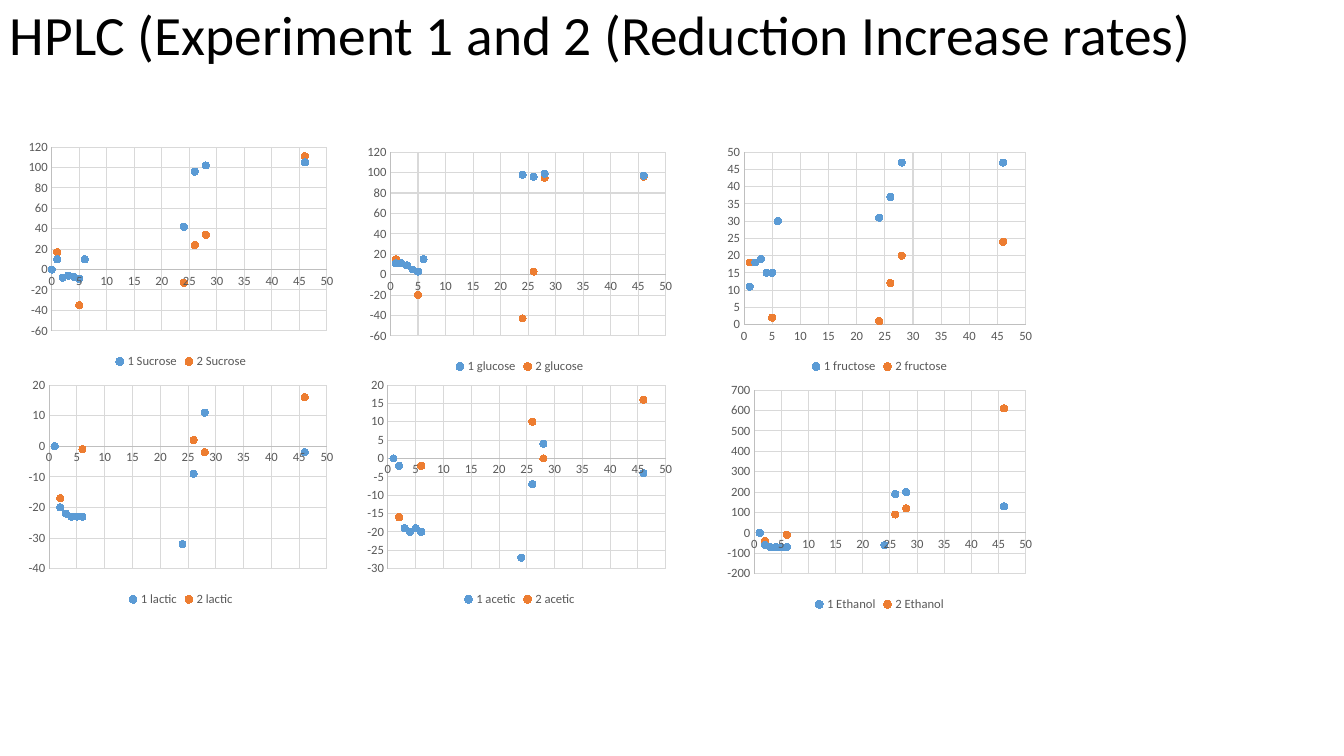
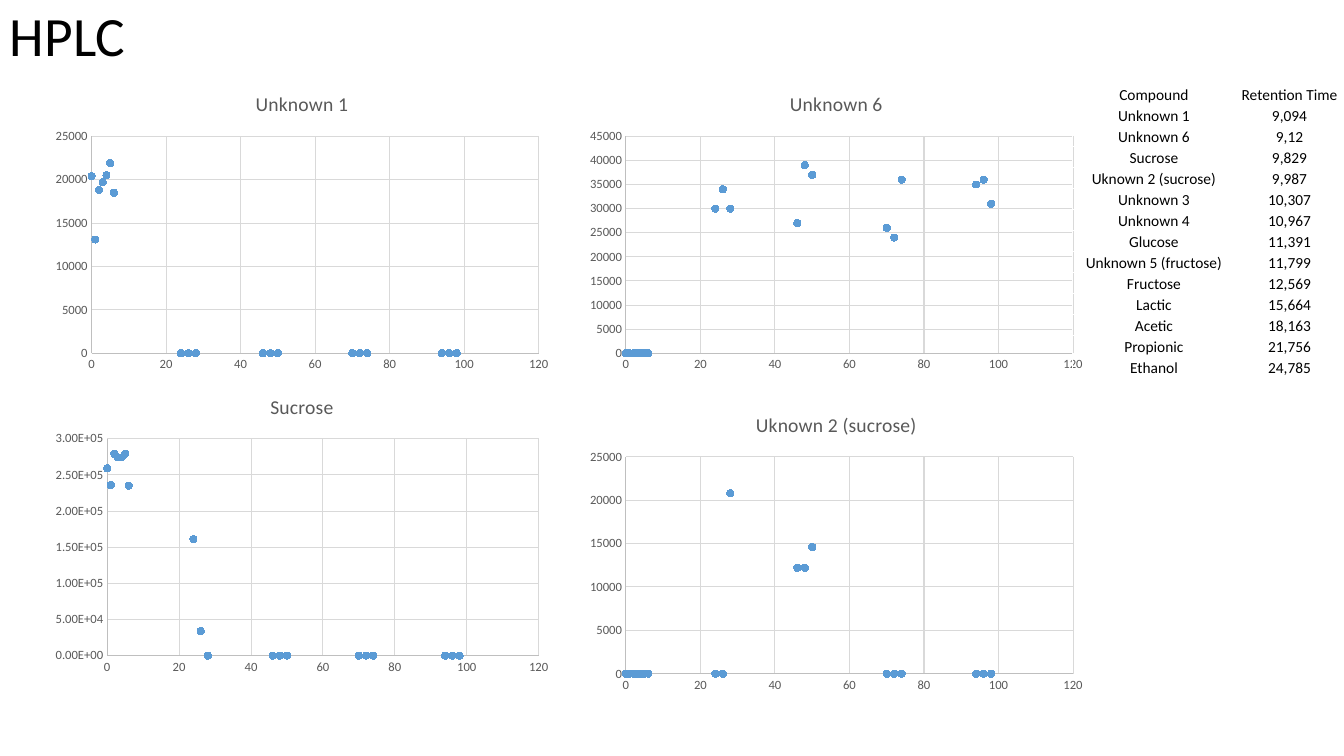
from pptx import Presentation
from pptx import util as u
from pptx.chart import data as chart_data
from pptx.dml.color import RGBColor
from pptx.enum import chart as chart_enum
from pptx.enum import text

FONT = "Calibri"
COLORS = {
    "text": "000000",
    "label": "595959",
    "axis": "BFBFBF",
    "grid": "D9D9D9",
    "first": "5B9BD5",
    "second": "ED7D31",
}

# Sampling times in hours
RATE_TIMES = [0, 1, 2, 3, 4, 5, 6, 24, 26, 28, 46]
AREA_TIMES = RATE_TIMES + [48, 50, 70, 72, 74, 94, 96, 98]

# Compound, left, top, (minimum, maximum, step), experiment 1, experiment 2
RATE_CHARTS = [
    ("Sucrose", 0.22, 1.34, (-60, 120, 20),
     [0, 10, -8, -6, -7, -9, 10, 42, 96, 102, 105],
     [0, 17, None, None, None, -35, None, -13, 24, 34, 111]),
    ("glucose", 3.58, 1.39, (-60, 120, 20),
     [None, 11, 11, 9, 5, 3, 15, 98, 96, 99, 97],
     [None, 15, None, None, None, -20, None, -43, 3, 95, 96]),
    ("fructose", 7.15, 1.39, (0, 50, 5),
     [None, 11, 18, 19, 15, 15, 30, 31, 37, 47, 47],
     [None, 18, None, None, None, 2, None, 1, 12, 20, 24]),
    ("lactic", 0.22, 3.7, (-40, 20, 10),
     [None, 0, -20, -22, -23, -23, -23, -32, -9, 11, -2],
     [None, 0, -17, None, None, None, -1, None, 2, -2, 16]),
    ("acetic", 3.58, 3.7, (-30, 20, 5),
     [None, 0, -2, -19, -20, -19, -20, -27, -7, 4, -4],
     [None, 0, -16, None, None, None, -2, None, 10, 0, 16]),
    ("Ethanol", 7.15, 3.75, (-200, 700, 100),
     [None, 0, -60, -70, -70, -70, -70, -60, 190, 200, 130],
     [None, 0, -40, None, None, None, -10, None, 90, 120, 610]),
]

# Compound, left, top, (minimum, maximum, step), number format, peak areas
AREA_CHARTS = [
    ("Unknown 1", 0.45, 0.75, (0, 25000, 5000), "General",
     [20400, 13100, 18800, 19700, 20500, 21900, 18500] + [0] * 12),
    ("Unknown 6", 5.75, 0.75, (0, 45000, 5000), "General",
     [0] * 7 + [30000, 34000, 30000, 27000, 39000, 37000,
                26000, 24000, 36000, 35000, 36000, 31000]),
    ("Sucrose", 0.45, 3.75, (0, 300000, 50000), "0.00E+00",
     [259000, 236000, 279000, 274000, 274000, 279000, 235000,
      161000, 34000] + [0] * 10),
    ("Uknown 2 (sucrose)", 5.75, 3.93, (0, 25000, 5000), "General",
     [0] * 9 + [20800, 12200, 12200, 14600] + [0] * 6),
]

RETENTION_TIMES = [
    ("Compound", "Retention Time"),
    ("Unknown 1", "9,094"),
    ("Unknown 6", "9,12"),
    ("Sucrose", "9,829"),
    ("Uknown 2 (sucrose)", "9,987"),
    ("Unknown 3", "10,307"),
    ("Unknown 4", "10,967"),
    ("Glucose", "11,391"),
    ("Unknown 5 (fructose)", "11,799"),
    ("Fructose", "12,569"),
    ("Lactic", "15,664"),
    ("Acetic", "18,163"),
    ("Propionic", "21,756"),
    ("Ethanol", "24,785"),
]


def color(name):
    return RGBColor.from_string(COLORS[name])


def style_font(font, size, color_name):
    font.name = FONT
    font.size = u.Pt(size)
    font.bold = False
    font.color.rgb = color(color_name)


def style_line(line, color_name):
    line.color.rgb = color(color_name)
    line.width = u.Pt(0.75)


def add_title(slide, title, box):
    shape = slide.shapes.add_textbox(*map(u.Inches, box))
    frame = shape.text_frame
    frame.word_wrap = True
    frame.vertical_anchor = text.MSO_ANCHOR.MIDDLE
    frame.text = title
    paragraph = frame.paragraphs[0]
    paragraph.line_spacing = 0.9
    style_font(paragraph.runs[0].font, 39.6, "text")


def style_axis(axis, scale, number_format="General"):
    axis.minimum_scale, axis.maximum_scale, axis.major_unit = scale
    axis.major_tick_mark = chart_enum.XL_TICK_MARK.NONE
    axis.minor_tick_mark = chart_enum.XL_TICK_MARK.NONE
    axis.has_major_gridlines = True
    style_line(axis.major_gridlines.format.line, "grid")
    style_line(axis.format.line, "axis")
    style_font(axis.tick_labels.font, 9, "label")
    axis.tick_labels.number_format = number_format
    axis.tick_labels.number_format_is_linked = False


def add_scatter(slide, box, times, series_values, x_scale, y_scale,
                number_format="General"):
    """Add a scatter chart; series_values maps each series name to its values."""
    data = chart_data.XyChartData()
    for name, values in series_values.items():
        points = data.add_series(name)
        for time, value in zip(times, values):
            points.add_data_point(time, value)
    chart = slide.shapes.add_chart(
        chart_enum.XL_CHART_TYPE.XY_SCATTER, *map(u.Inches, box), data).chart
    # Times without a measurement stay in the series as empty points
    for point in chart.element.xpath(".//c:yVal//c:pt[c:v='None' or c:v='']"):
        point.getparent().remove(point)
    style_font(chart.font, 10, "text")
    chart.has_title = False
    chart.has_legend = False
    plot = chart.plots[0]
    plot.vary_by_categories = False
    style_axis(chart.category_axis, x_scale)
    style_axis(chart.value_axis, y_scale, number_format)

    # Markers only, no joining line
    for series, color_name in zip(plot.series, ("first", "second")):
        series.format.line.fill.background()
        marker = series.marker
        marker.style = chart_enum.XL_MARKER_STYLE.CIRCLE
        marker.size = 5
        marker.format.fill.solid()
        marker.format.fill.fore_color.rgb = color(color_name)
        style_line(marker.format.line, color_name)
    return chart


def add_rate_chart(slide, box, compound, y_scale, first, second):
    series_values = {f"1 {compound}": first, f"2 {compound}": second}
    chart = add_scatter(slide, box, RATE_TIMES, series_values, (0, 50, 5), y_scale)
    chart.has_legend = True
    chart.legend.position = chart_enum.XL_LEGEND_POSITION.BOTTOM
    chart.legend.include_in_layout = False
    style_font(chart.legend.font, 9, "label")


def add_area_chart(slide, box, compound, y_scale, number_format, areas):
    chart = add_scatter(slide, box, AREA_TIMES, {compound: areas},
                        (0, 120, 20), y_scale, number_format)
    chart.has_title = True
    frame = chart.chart_title.text_frame
    frame.text = compound
    style_font(frame.paragraphs[0].runs[0].font, 14, "label")
    chart.chart_title.include_in_layout = False


def add_retention_table(slide, box, column_widths):
    table = slide.shapes.add_table(
        len(RETENTION_TIMES), len(column_widths), *map(u.Inches, box)).table
    table.first_row = False
    table.horz_banding = False
    for column, width in zip(table.columns, column_widths):
        column.width = u.Inches(width)
    for row, values in zip(table.rows, RETENTION_TIMES):
        for cell, value in zip(row.cells, values):
            cell.fill.background()
            cell.margin_left = cell.margin_right = cell.margin_top = u.Inches(0.01)
            cell.margin_bottom = 0
            cell.vertical_anchor = text.MSO_ANCHOR.BOTTOM
            cell.text = value
            paragraph = cell.text_frame.paragraphs[0]
            paragraph.alignment = text.PP_ALIGN.CENTER
            style_font(paragraph.runs[0].font, 11, "text")


def build_rates_slide(slide):
    add_title(slide, "HPLC (Experiment 1 and 2 (Reduction Increase rates)",
              (0, 0, 12.26, 0.74))
    for compound, left, top, *details in RATE_CHARTS:
        add_rate_chart(slide, (left, top, 3.15, 2.36), compound, *details)


def build_areas_slide(slide):
    add_title(slide, "HPLC", (0, 0.02, 11.5, 0.72))
    for compound, left, top, *details in AREA_CHARTS:
        add_area_chart(slide, (left, top, 5.09, 3), compound, *details)
    add_retention_table(slide, (10.64, 0.83, 2.69, 2.92), (1.61, 1.08))


def main():
    presentation = Presentation()
    presentation.slide_width = u.Inches(13.33)
    presentation.slide_height = u.Inches(7.5)
    blank = presentation.slide_layouts[6]
    for build in (build_rates_slide, build_areas_slide):
        build(presentation.slides.add_slide(blank))
    presentation.save("out.pptx")


if __name__ == "__main__":
    main()
